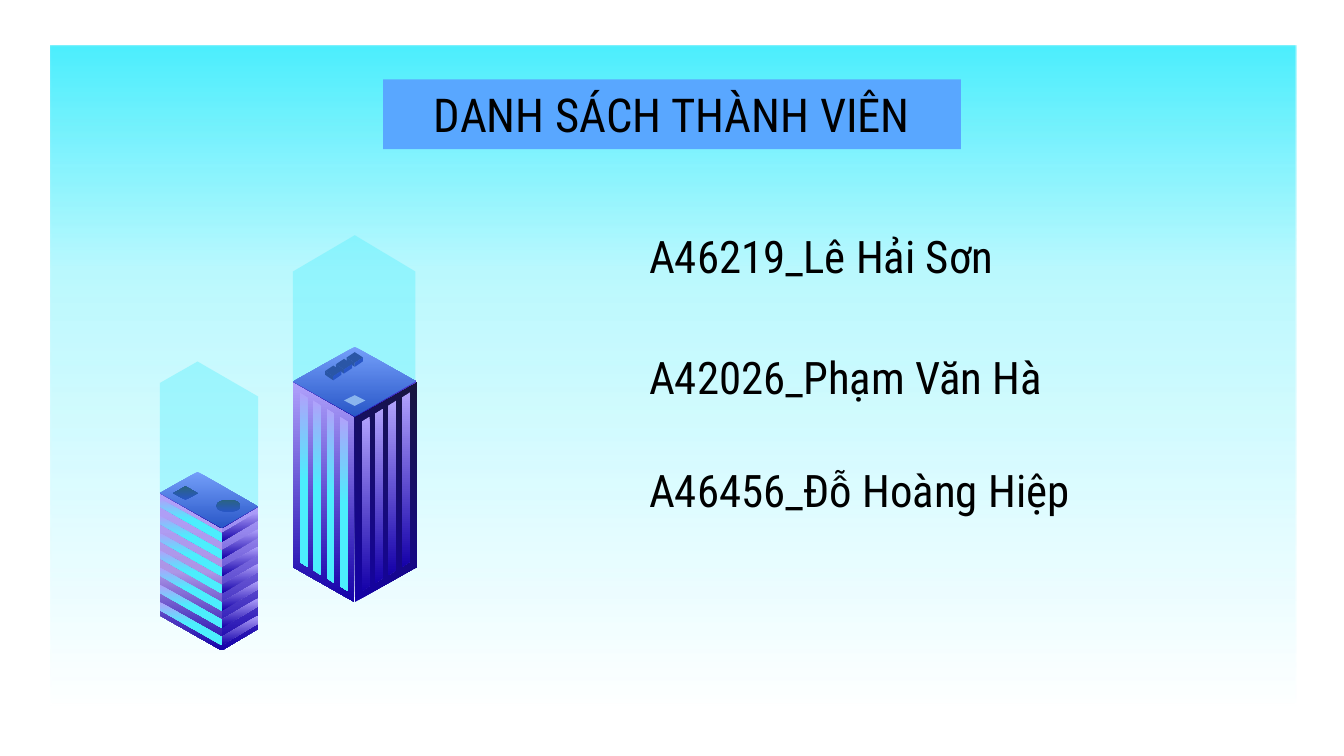
from dataclasses import dataclass

from lxml.etree import SubElement
from pptx import Presentation
from pptx.dml.color import RGBColor
from pptx.enum.shapes import MSO_SHAPE
from pptx.enum.text import MSO_ANCHOR, MSO_AUTO_SIZE, PP_ALIGN
from pptx.oxml.ns import qn
from pptx.util import Inches, Pt


@dataclass(frozen=True)
class Theme:
    """Colours, gradient stops (position, colour, opacity) and type sizes."""
    font: str = "Roboto Condensed"
    title_size: int = 25
    member_size: int = 24
    text: str = "000000"
    banner: str = "59A7FF"
    glass: str = "4CEEFD"
    skylight: str = "AD95E6"
    vent_dark: str = "180175"
    vent_light: str = "1501A9"
    sky: tuple = ((0, "4CEEFD", 100), (34, "4CEEFD", 38), (100, "4CEEFD", 0))
    wall: tuple = ((0, "B0A1FB", 100), (100, "1501A9", 100))
    low_wall: tuple = ((0, "B0A1FB", 100), (50, "AD95E6", 100), (100, "1501A9", 100))
    window: tuple = ((0, "B0A1FB", 100), (50, "4CEEFD", 100), (100, "4CEEFD", 100))
    shade: tuple = ((0, "1501A9", 100), (100, "17163E", 100))
    roof: tuple = ((0, "8C74F9", 100), (100, "1501A9", 100))


def write(tf, text, *, font, size, color, align=PP_ALIGN.LEFT, anchor=MSO_ANCHOR.TOP):
    """Put one formatted line of text in a frame."""
    tf.word_wrap = True
    tf.auto_size = MSO_AUTO_SIZE.NONE
    tf.vertical_anchor = anchor
    tf.margin_left = tf.margin_right = tf.margin_top = tf.margin_bottom = Inches(0.1)
    p = tf.paragraphs[0]
    pPr = p._p.get_or_add_pPr()
    pPr.set("marL", "0")
    pPr.set("indent", "0")
    SubElement(pPr, qn("a:buNone"))
    p.alignment = align
    p.space_before = Pt(0)
    p.line_spacing = 1.0
    r = p.add_run()
    r.text = text
    r.font.name, r.font.size, r.font.bold = font, Pt(size), False
    r.font.color.rgb = RGBColor.from_string(color)


class SlideBuilder:
    """Draws elements on the current slide in one theme."""

    def __init__(self, s, theme):
        """Keep the slide and the theme."""
        self.s, self.theme = s, theme

    def paint(self, sp, fill, angle=90, opacity=100):
        """Fill a shape with a colour or gradient, without line or shadow."""
        sp.shadow.inherit = False
        sp.line.fill.background()
        sp.fill.solid()
        sp.fill.fore_color.rgb = RGBColor.from_string(fill if isinstance(fill, str) else fill[0][1])
        solid = sp.element.spPr.find(qn("a:solidFill"))
        if isinstance(fill, str):
            if opacity < 100:
                SubElement(solid[0], qn("a:alpha"), val=str(opacity * 1000))
            return
        grad = solid.makeelement(qn("a:gradFill"), {"rotWithShape": "1"})
        stops = SubElement(grad, qn("a:gsLst"))
        for pos, color, alpha in fill:
            gs = SubElement(stops, qn("a:gs"), pos=str(pos * 1000))
            clr = SubElement(gs, qn("a:srgbClr"), val=color)
            if alpha < 100:
                SubElement(clr, qn("a:alpha"), val=str(alpha * 1000))
        SubElement(grad, qn("a:lin"), ang=str(angle * 60000), scaled="0")
        solid.getparent().replace(solid, grad)

    def preset(self, kind, box, fill, angle=90):
        """Add a painted preset shape."""
        sp = self.s.shapes.add_shape(kind, *map(Inches, box))
        self.paint(sp, fill, angle)
        return sp

    def backdrop(self, box):
        """Add the sky panel behind everything else."""
        sp = self.preset(MSO_SHAPE.RECTANGLE, box, self.theme.sky)
        sp.element.getparent().insert(2, sp.element)

    def polygon(self, points, fill, angle=90, opacity=100):
        """Add a closed outline through the points."""
        start, *rest = [(Inches(x), Inches(y)) for x, y in points]
        fb = self.s.shapes.build_freeform(*start)
        fb.add_line_segments(rest, close=True)
        self.paint(fb.convert_to_shape(), fill, angle, opacity)

    def face(self, x1, y1, x2, y2, height, fill, angle=90):
        """Add a wall with upright sides under a sloping top edge."""
        self.polygon([(x1, y1), (x1, y1 + height), (x2, y2 + height), (x2, y2)], fill, angle)

    def diamond(self, cx, cy, rx, ry, fill, angle=90):
        """Add a flat diamond around a centre."""
        self.polygon([(cx, cy - ry), (cx - rx, cy), (cx, cy + ry), (cx + rx, cy)], fill, angle)

    def vent(self, cx, cy):
        """Add a small roof box."""
        t = self.theme
        self.diamond(cx, cy, 0.06, 0.04, t.vent_dark)
        self.face(cx - 0.06, cy, cx, cy + 0.04, 0.03, t.vent_dark)
        self.face(cx + 0.06, cy, cx, cy + 0.04, 0.03, t.vent_light)

    def placeholder(self, sp, box, text, size, **fmt):
        """Move a placeholder and write its text."""
        sp.left, sp.top, sp.width, sp.height = map(Inches, box)
        write(sp.text_frame, text, font=self.theme.font, size=size, color=self.theme.text, **fmt)

    def tall_tower(self):
        """Draw the tower with upright windows."""
        t, cx = self.theme, 2.64
        for side, wall, angle, window in ((-1, t.wall, 90, t.window), (1, t.shade, 315, t.wall)):
            self.face(cx + side * 0.46, 2.84, cx, 3.1, 1.38, wall, angle)
            for i in range(4):
                x, y = cx + side * (0.41 - 0.1 * i), 2.92 + 0.06 * i
                self.face(x, y, x - side * 0.06, y + 0.04, 1.26, window)
        self.diamond(cx, 2.84, 0.46, 0.26, t.roof)
        self.diamond(cx, 2.98, 0.08, 0.04, t.skylight)
        for i in range(3):
            self.vent(cx - 0.08 * i, 2.66 + 0.05 * i)
        self.polygon([(cx, 1.75), (2.18, 2.02), (2.18, 2.84), (cx, 3.1), (3.09, 2.84), (3.09, 2.02)],
                     t.glass, opacity=36)

    def low_tower(self):
        """Draw the tower with window bands."""
        t, left, corner, right = self.theme, 1.19, 1.65, 1.92
        for x, y, wall, band in ((left, 3.67, t.low_wall, t.window), (right, 3.77, t.wall, t.wall)):
            self.face(x, y, corner, 3.93, 0.91, wall)
            for i in range(7):
                drop = 0.04 + 0.77 * i / 6
                self.face(x, y + drop, corner, 3.93 + drop, 0.06, band)
        self.polygon([(1.47, 3.51), (left, 3.67), (corner, 3.93), (right, 3.77)], t.roof)
        self.diamond(1.38, 3.67, 0.09, 0.05, t.shade, 270)
        self.preset(MSO_SHAPE.OVAL, (1.61, 3.72, 0.18, 0.09), t.shade, 270)
        self.polygon([(1.47, 2.69), (left, 2.85), (left, 3.67), (corner, 3.93), (right, 3.77), (right, 2.95)],
                     t.glass, opacity=36)


def main():
    """Build the member list slide."""
    prs = Presentation()
    prs.slide_width, prs.slide_height = Inches(10), Inches(10 * 9 / 16)
    s = prs.slides.add_slide(prs.slide_layouts[4])
    theme = Theme()
    b = SlideBuilder(s, theme)
    title, *bodies, spare = s.placeholders
    spare.element.getparent().remove(spare.element)

    b.backdrop((0.38, 0.34, 9.27, 4.91))
    b.placeholder(title, (2.85, 0.59, 4.3, 0.52), "DANH SÁCH THÀNH VIÊN", theme.title_size,
                  align=PP_ALIGN.CENTER, anchor=MSO_ANCHOR.MIDDLE)
    title.fill.solid()
    title.fill.fore_color.rgb = RGBColor.from_string(theme.banner)
    members = ((1.6, "A46219_Lê Hải Sơn"), (2.5, "A42026_Phạm Văn Hà"), (3.34, "A46456_Đỗ Hoàng Hiệp"))
    for sp, (top, name) in zip(bodies, members):
        b.placeholder(sp, (4.73, top, 4.49, 0.48), name, theme.member_size)
    b.tall_tower()
    b.low_tower()
    prs.save("out.pptx")


if __name__ == "__main__":
    main()
